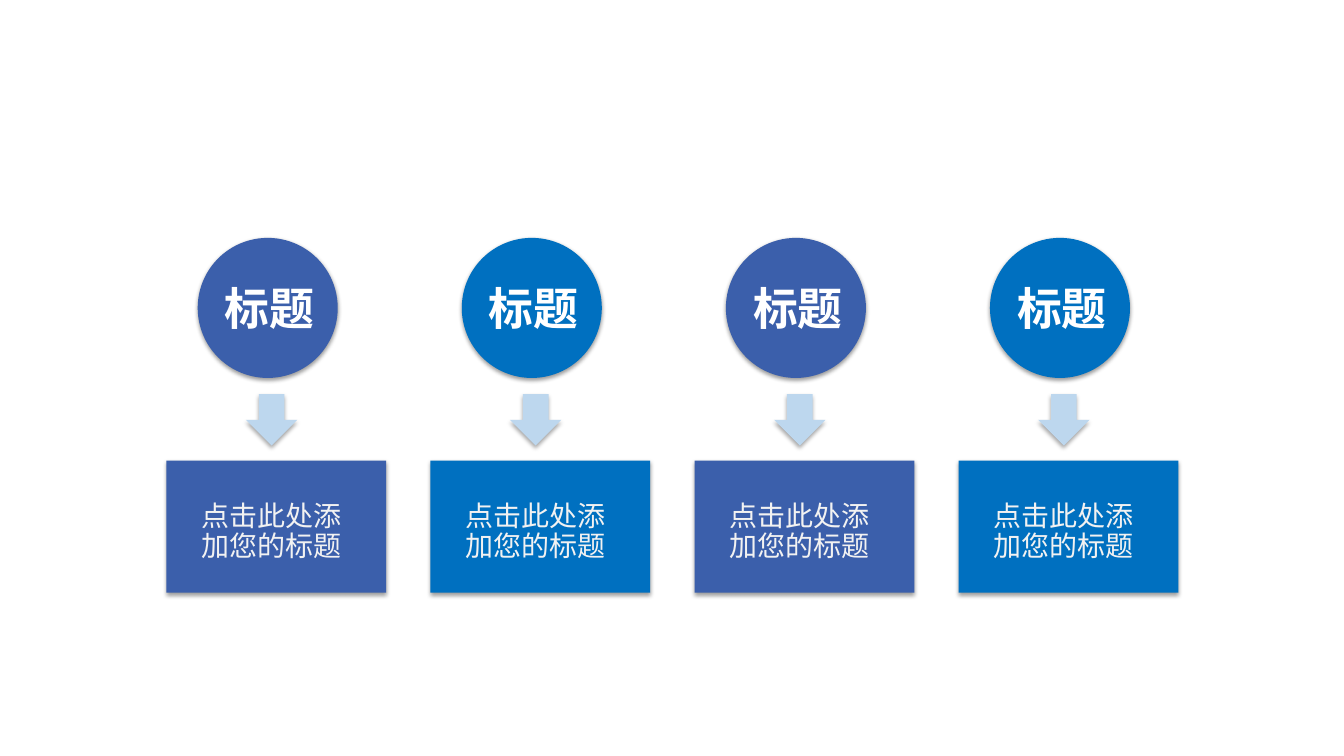
from lxml import etree
from pptx import Presentation
from pptx.dml.color import RGBColor
from pptx.enum.shapes import MSO_SHAPE
from pptx.enum.text import MSO_AUTO_SIZE, PP_ALIGN
from pptx.oxml.ns import qn
from pptx.util import Inches, Pt

OVAL = MSO_SHAPE.OVAL
DOWN_ARROW = MSO_SHAPE.DOWN_ARROW
RECTANGLE = MSO_SHAPE.RECTANGLE
GROW = MSO_AUTO_SIZE.SHAPE_TO_FIT_TEXT
LEFT = PP_ALIGN.LEFT
CENTER = PP_ALIGN.CENTER

FIRST_COLUMN = 12.38
COLUMN_STEP = 19.65
COLUMN_COLORS = ["3B5FAB", "0070C0"] * 2


def color(value):
    return RGBColor.from_string(value)


class SlideBuilder:
    font_name = "Noto Sans CJK SC"

    def __init__(self, presentation):
        self.width = presentation.slide_width
        self.height = presentation.slide_height
        self.slide = presentation.slides.add_slide(presentation.slide_layouts[6])

    def box(self, left, top, width, height):
        return (
            round(self.width * left / 100),
            round(self.height * top / 100),
            round(self.width * width / 100),
            round(self.height * height / 100),
        )

    def add_shadow(self, shape, opacity, distance):
        shape.shadow.inherit = False
        effects = shape._element.spPr.find(qn("a:effectLst"))
        shadow = etree.SubElement(
            effects,
            qn("a:outerShdw"),
            blurRad=str(Pt(3.1)),
            dist=str(Pt(distance)),
            dir="5400000",
            algn="t",
            rotWithShape="0",
        )
        shadow_color = etree.SubElement(shadow, qn("a:srgbClr"), val="000000")
        etree.SubElement(shadow_color, qn("a:alpha"), val=str(opacity * 1000))

    def add_shape(self, kind, place, fill, opacity=38, distance=1.6):
        shape = self.slide.shapes.add_shape(kind, *self.box(*place))
        shape.fill.solid()
        shape.fill.fore_color.rgb = color(fill)
        shape.line.fill.background()
        self.add_shadow(shape, opacity, distance)

    def add_text(self, text, place, size, fill, bold=False, alignment=LEFT, spacing=1.0, wrap=True):
        shape = self.slide.shapes.add_textbox(*self.box(*place))
        frame = shape.text_frame
        frame.word_wrap = wrap
        frame.auto_size = GROW
        paragraph = frame.paragraphs[0]
        paragraph.text = text
        paragraph.alignment = alignment
        paragraph.line_spacing = spacing
        font = paragraph.font
        font.name = self.font_name
        font.size = Pt(size)
        font.bold = bold
        font.color.rgb = color(fill)
        properties = paragraph._p.pPr.find(qn("a:defRPr"))
        etree.SubElement(properties, qn("a:ea"), typeface=self.font_name)

    def add_step(self, left, fill):
        self.add_shape(OVAL, (left + 2.33, 31.47, 10.42, 18.53), fill)
        self.add_shape(DOWN_ARROW, (left + 5.92, 52.13, 3.82, 6.8), "BDD7EE", 35, 1.8)
        self.add_shape(RECTANGLE, (left, 60.93, 16.35, 17.47), fill)
        self.add_text("点击此处添加您的标题", (left + 1.87, 65.73, 12.45, 9.47), 20, "F2F2F2", spacing=0.9)
        self.add_text(
            "标题", (left + 3.6, 36.53, 8.18, 8.53), 32, "FFFFFF", bold=True, alignment=CENTER, wrap=False
        )


def main():
    presentation = Presentation()
    presentation.slide_width = Inches(13.33)
    presentation.slide_height = Inches(7.5)
    builder = SlideBuilder(presentation)
    for index, fill in enumerate(COLUMN_COLORS):
        builder.add_step(FIRST_COLUMN + index * COLUMN_STEP, fill)
    presentation.save("out.pptx")


if __name__ == "__main__":
    main()
